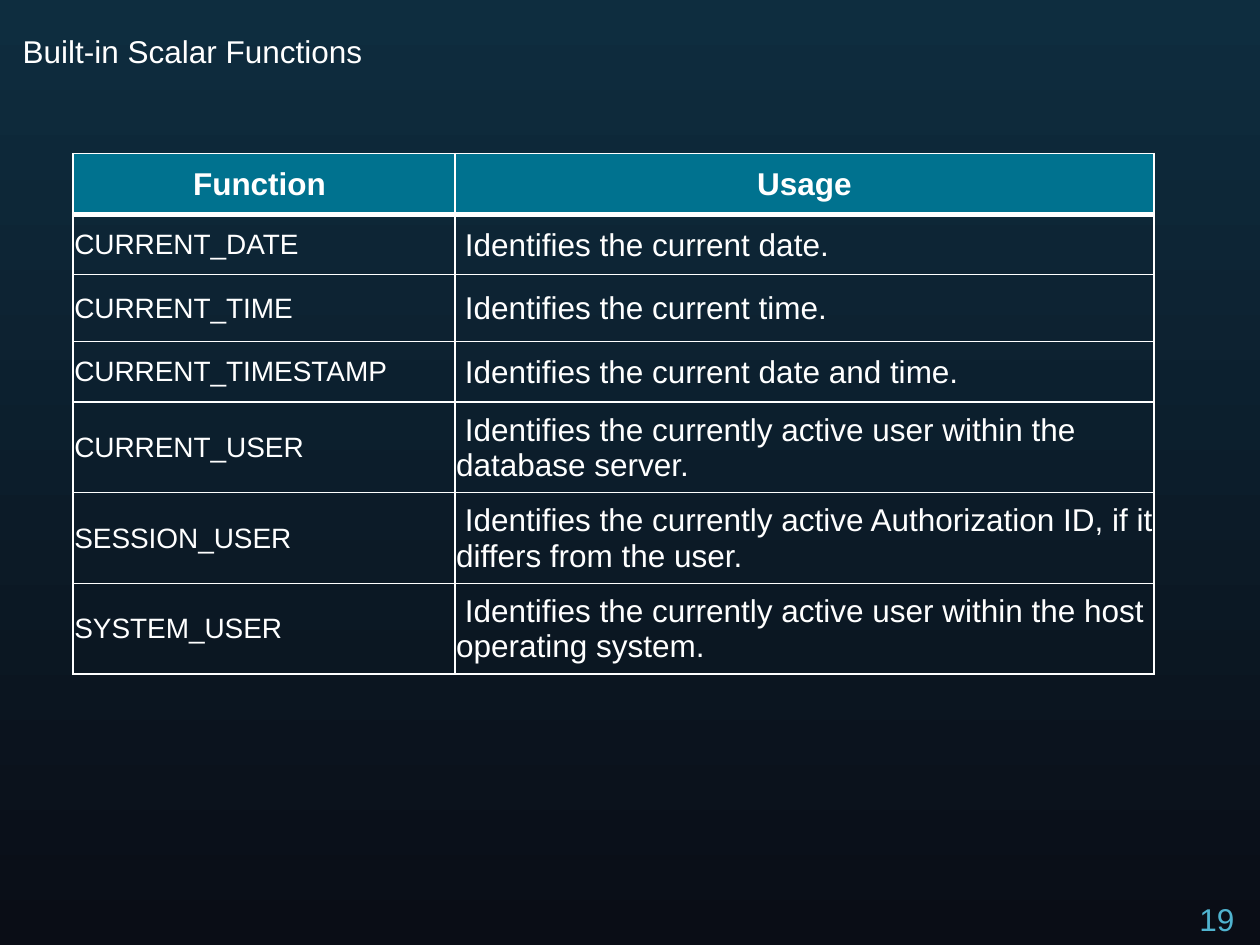
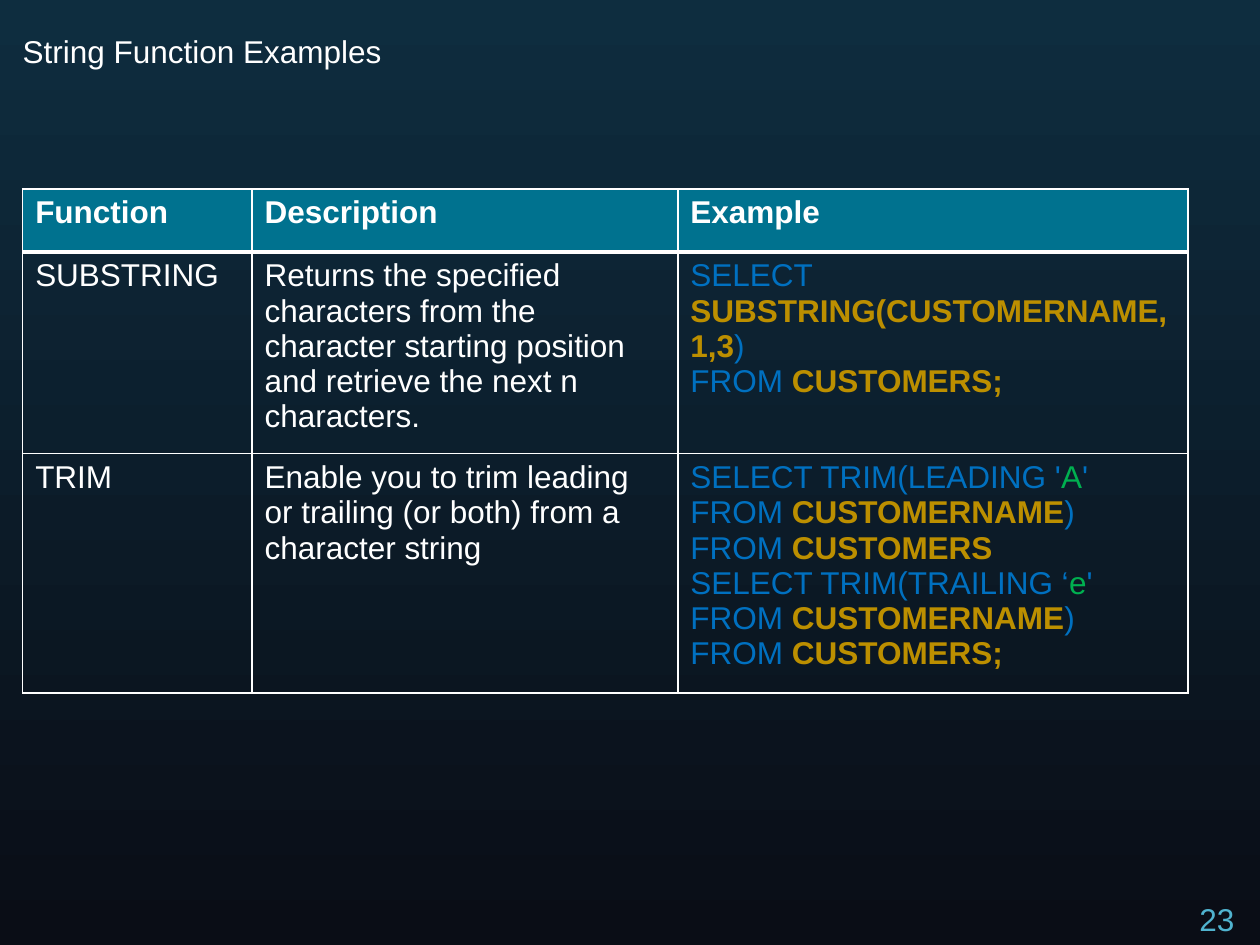
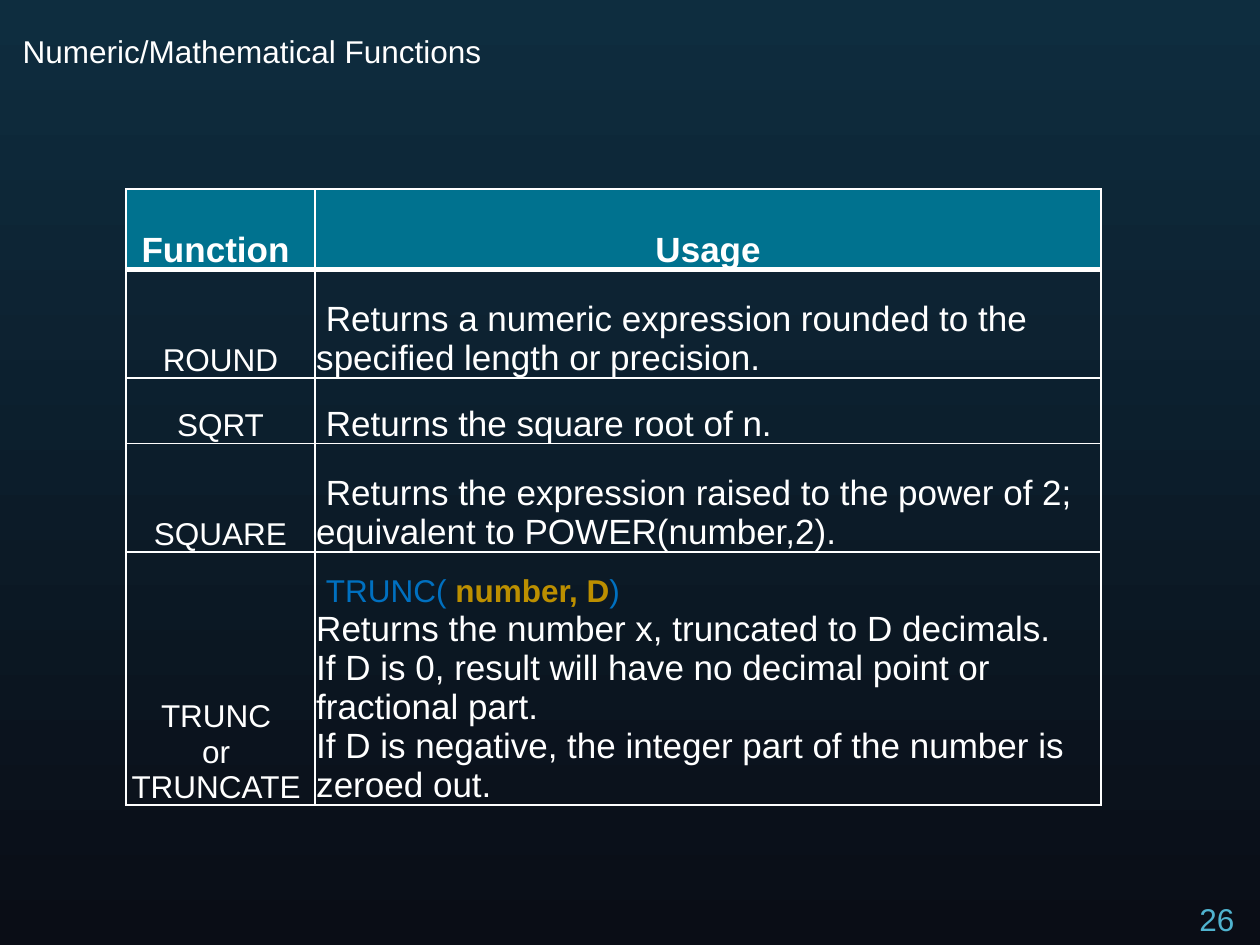
from dataclasses import dataclass
from lxml.etree import SubElement
from pptx import Presentation
from pptx.dml.color import RGBColor as Rgb
from pptx.enum.text import MSO_ANCHOR as Anchor, MSO_AUTO_SIZE as Fit, PP_ALIGN as Align
from pptx.oxml import parse_xml
from pptx.oxml.ns import nsdecls, qn
from pptx.util import Inches, Pt

FONT = "Arial"
HUES = {
    "top": "0E2D3F",
    "base": "0A0D16",
    "text": "FFFFFF",
    "head": "00728F",
    "page": "50B3CF",
    "code": "0070C0",
    "name": "BC8F00",
    "mark": "00B050",
}
TITLE_BOX = (0.08, 0.2, 7.5, 0.58)
PAGE_BOX = (9.42, 7.08, 0.58, 0.42)
TIGHT = (0.01, 0.01, 0.01, 0)
LOOSE = (0.1, 0.05, 0.1, 0.05)


@dataclass
class Look:
    sizes: tuple
    head: int = 18
    aligns: tuple = (Align.LEFT,) * 3
    title: Align = Align.CENTER
    anchor: Anchor = Anchor.MIDDLE
    pads: tuple = TIGHT


def rgb(hue):
    return Rgb.from_string(HUES[hue])


def place(shape, box):
    shape.left, shape.top, shape.width, shape.height = map(Inches, box)


def add_run(para, text, size, hue="text", bold=False):
    run = para.add_run()
    run.text = text
    font = run.font
    font.name, font.size, font.bold = FONT, Pt(size), bold
    font.color.rgb = rgb(hue)


def add_text(frame, lines, size, align=Align.LEFT, bold=False):
    if isinstance(lines, str):
        lines = [lines]
    for i, line in enumerate(lines):
        para = frame.paragraphs[0] if i == 0 else frame.add_paragraph()
        para.alignment = align
        parts = [("text", line)] if isinstance(line, str) else line
        for hue, text in parts:
            add_run(para, text, size if hue == "text" else 18, hue, bold or hue == "name")


def set_edge(cell, side, width):
    props = cell._tc.get_or_add_tcPr()
    edge = parse_xml(f'<a:{side} {nsdecls("a")} w="{Pt(width)}" cap="flat" cmpd="sng"/>')
    fill = SubElement(edge, qn("a:solidFill"))
    SubElement(fill, qn("a:srgbClr")).set("val", HUES["text"])
    props.insert(0, edge)


def fill_cell(cell, row, col, text, look):
    cell.margin_left, cell.margin_top, cell.margin_right, cell.margin_bottom = map(Inches, look.pads)
    cell.vertical_anchor = look.anchor
    if row == 0:
        cell.fill.solid()
        cell.fill.fore_color.rgb = rgb("head")
        add_text(cell.text_frame, text, look.head, look.title, True)
    else:
        cell.fill.background()
        add_text(cell.text_frame, text, look.sizes[col], look.aligns[col])
    widths = {"lnB": 3 if row == 0 else 1, "lnT": 3 if row == 1 else 1, "lnR": 1, "lnL": 1}
    for side, width in widths.items():
        set_edge(cell, side, width)


def add_grid(slide, left, top, cols, rows, cells, look):
    box = map(Inches, (left, top, sum(cols), sum(rows)))
    table = slide.shapes.add_table(len(rows), len(cols), *box).table
    table.horz_banding = False
    for col, width in zip(table.columns, cols):
        col.width = Inches(width)
    for row, height in zip(table.rows, rows):
        row.height = Inches(height)
    for r, line in enumerate(cells):
        for c, text in enumerate(line):
            fill_cell(table.cell(r, c), r, c, text, look)


def add_slide(deck, title, page):
    slide = deck.slides.add_slide(deck.slide_layouts[5])
    head = slide.shapes.title
    place(head, TITLE_BOX)
    frame = head.text_frame
    frame.auto_size, frame.vertical_anchor = Fit.NONE, Anchor.TOP
    add_text(frame, title, 18)
    note = slide.shapes.add_textbox(*map(Inches, PAGE_BOX)).text_frame
    note.word_wrap, note.vertical_anchor = True, Anchor.MIDDLE
    add_run(note.paragraphs[0], str(page), 18, "page")
    return slide


def set_back(deck):
    fill = deck.slide_master.background.fill
    fill.gradient()
    fill.gradient_angle = 270
    for stop, hue, spot in zip(fill.gradient_stops, ("top", "base"), (0, 1)):
        stop.color.rgb = rgb(hue)
        stop.position = spot


def scalar_slide(deck):
    slide = add_slide(deck, "Built-in Scalar Functions", 19)
    cells = [
        ("Function ", "Usage"),
        ("CURRENT_DATE", " Identifies the current date."),
        ("CURRENT_TIME", " Identifies the current time."),
        ("CURRENT_TIMESTAMP", " Identifies the current date and time."),
        ("CURRENT_USER", " Identifies the currently active user within the database server."),
        ("SESSION_USER", " Identifies the currently active Authorization ID, if it differs from the user."),
        ("SYSTEM_USER", " Identifies the currently active user within the host operating system."),
    ]
    rows = (0.48, 0.48, 0.53, 0.48, 0.72, 0.72, 0.72)
    add_grid(slide, 0.58, 1.22, (3.03, 5.55), rows, cells, Look((16, 18)))


def string_slide(deck):
    slide = add_slide(deck, "String Function Examples", 23)
    source = [("code", "FROM "), ("name", "CUSTOMERS;")]
    field = [("code", "FROM "), ("name", "CUSTOMERNAME")]
    cut = [
        [("code", "SELECT "), ("name", "SUBSTRING(CUSTOMERNAME,1,3"), ("code", ")")],
        source,
    ]
    trim = [
        [("code", "SELECT TRIM(LEADING '"), ("mark", "A"), ("code", "'")],
        field + [("code", ") FROM "), ("name", "CUSTOMERS")],
        [("code", "SELECT TRIM(TRAILING ‘"), ("mark", "e"), ("code", "'")],
        field + [("code", ")")],
        source,
    ]
    cells = [
        ("Function", "Description", "Example"),
        ("SUBSTRING", "Returns the specified characters from the character starting position "
         "and retrieve the next n characters.", cut),
        ("TRIM", "Enable you to trim leading or trailing (or both) from a character string", trim),
    ]
    look = Look((18,) * 3, title=Align.LEFT, anchor=Anchor.TOP, pads=LOOSE)
    add_grid(slide, 0.18, 1.5, (1.82, 3.38, 4.05), (0.5, 1.5, 1.78), cells, look)


def number_slide(deck):
    slide = add_slide(deck, "Numeric/Mathematical Functions", 26)
    trunc = [
        [("text", " "), ("code", "TRUNC( "), ("name", "number, D"), ("code", ")")],
        "Returns the number x, truncated to D decimals.",
        "If D is 0, result will have no decimal point or fractional part.",
        "If D is negative, the integer part of the number is zeroed out.",
    ]
    cells = [
        ("Function ", "Usage"),
        ("ROUND", " Returns a numeric expression rounded to the specified length or precision."),
        ("SQRT", " Returns the square root of n."),
        ("SQUARE", " Returns the expression raised to the power of 2; equivalent to POWER(number,2)."),
        (["TRUNC ", "or ", "TRUNCATE "], trunc),
    ]
    look = Look((18, 20), head=20, aligns=(Align.CENTER, Align.LEFT), anchor=Anchor.BOTTOM)
    add_grid(slide, 1, 1.5, (1.5, 6.24), (0.64, 0.86, 0.52, 0.86, 1.87), cells, look)


def main():
    deck = Presentation()
    deck.slide_width, deck.slide_height = Inches(10), Inches(7.5)
    set_back(deck)
    scalar_slide(deck)
    string_slide(deck)
    number_slide(deck)
    deck.save("out.pptx")


if __name__ == "__main__":
    main()
